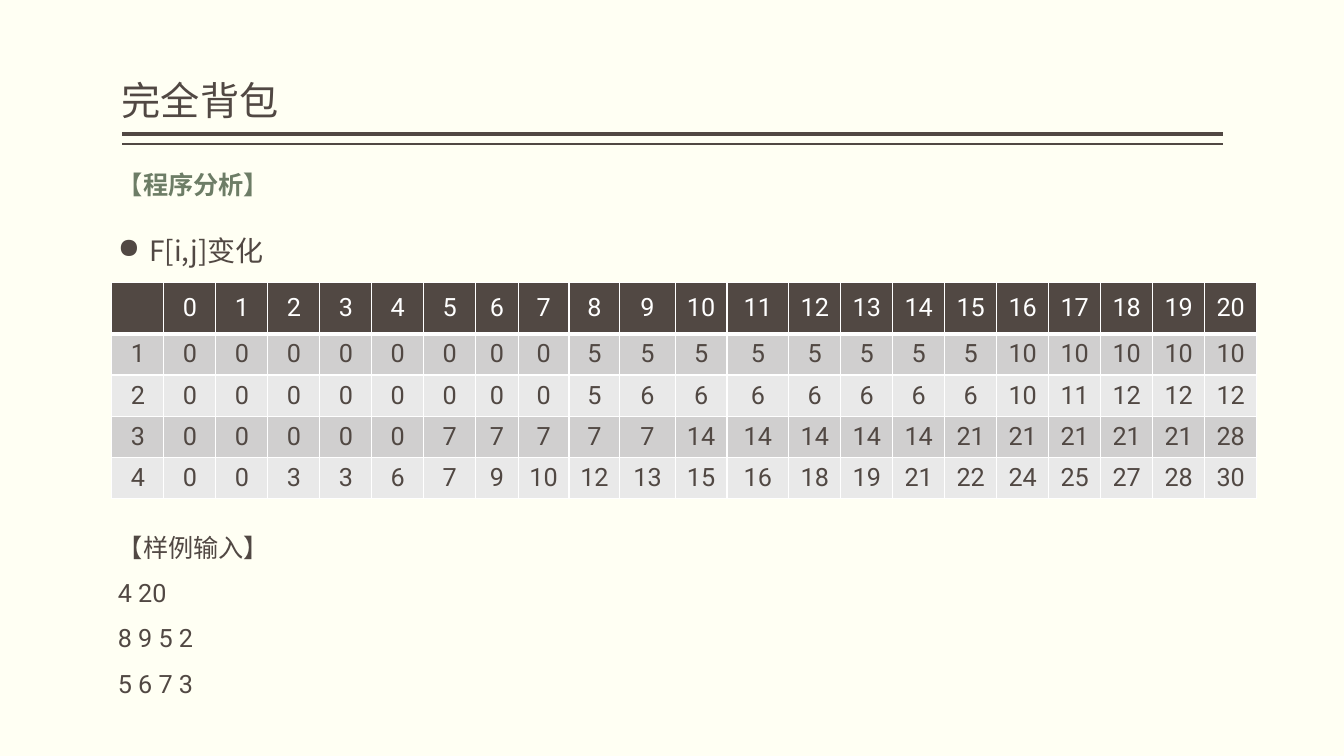
from lxml import etree
from pptx import Presentation
from pptx.dml.color import RGBColor
from pptx.enum.shapes import MSO_CONNECTOR
from pptx.enum.text import MSO_ANCHOR, PP_ALIGN
from pptx.oxml.ns import qn
from pptx.util import Cm, Pt

STRAIGHT = MSO_CONNECTOR.STRAIGHT
MIDDLE, BOTTOM, TOP = MSO_ANCHOR.MIDDLE, MSO_ANCHOR.BOTTOM, MSO_ANCHOR.TOP
CENTER = PP_ALIGN.CENTER
BROWN, GREEN, WHITE, CREAM = "514843", "6D7D66", "FFFFFF", "FFFFF3"
ROW_FILLS = ("D0CFCF", "E9E9E9")
CJK, LATIN = "Noto Sans CJK SC", "Roboto"

CAPACITIES = ["", *range(21)]
BEST_VALUES = [
    [1] + [0] * 8 + [5] * 8 + [10] * 5,
    [2] + [0] * 8 + [5] + [6] * 7 + [10, 11, 12, 12, 12],
    [3] + [0] * 5 + [7] * 5 + [14] * 5 + [21] * 5 + [28],
    [4, 0, 0, 3, 3, 6, 7, 9, 10, 12, 13, 15, 16, 18, 19, 21, 22, 24, 25, 27, 28, 30],
]
COLUMN_WIDTHS = [1.31] * 7 + [1.07, 1.28, 1.28, 1.4, 1.3, 1.56] + [1.31] * 9


def color(value):
    """Turn a hex string into a colour."""
    return RGBColor.from_string(value)


def write(paragraph, text, size=18, font=CJK, fill=BROWN, bold=False,
          spacing=None, align=None, bullet=None, indent=0.79):
    """Write formatted text into a paragraph."""
    properties = paragraph._p.get_or_add_pPr()
    if spacing:
        paragraph.line_spacing = spacing
    if align is not None:
        paragraph.alignment = align
    if bullet:
        properties.set("marL", str(Cm(indent)))
        properties.set("indent", str(-Cm(indent)))
        etree.SubElement(properties, qn("a:buChar")).set("char", bullet)
    run = paragraph.add_run()
    run.text = text
    run.font.size = Pt(size)
    run.font.name = font
    run.font.bold = bold
    run.font.color.rgb = color(fill)
    etree.SubElement(run._r.get_or_add_rPr(), qn("a:ea")).set("typeface", CJK)


def add_text(slide, left, top, width, height, lines, anchor=TOP, side=0.25):
    """Place a text box holding one paragraph per line."""
    box = slide.shapes.add_textbox(Cm(left), Cm(top), Cm(width), Cm(height))
    frame = box.text_frame
    frame.word_wrap = True
    frame.vertical_anchor = anchor
    frame.margin_left = frame.margin_right = Cm(side)
    for index, (text, style) in enumerate(lines):
        paragraph = frame.add_paragraph() if index else frame.paragraphs[0]
        write(paragraph, text, **style)


def add_heading(slide, left, top, width, height):
    """Place the title above its thick and thin rules."""
    title = ("完全背包", dict(size=28, spacing=0.9))
    add_text(slide, left, top, width, height, [title], anchor=BOTTOM, side=0)
    for gap, weight in ((0.13, 3), (0.38, 1)):
        y = Cm(top + height + gap)
        rule = slide.shapes.add_connector(STRAIGHT, Cm(left + width), y, Cm(left), y)
        rule.line.color.rgb = color(BROWN)
        rule.line.width = Pt(weight)
        etree.SubElement(rule._element.spPr, qn("a:effectLst"))


def add_analysis(slide, left, top, width, height):
    """Place the analysis label and the bullet that introduces the table."""
    add_text(slide, left, top, width, height, [
        ("【程序分析】", dict(fill=GREEN, bold=True)),
        ("F[i,j]变化", dict(size=20, spacing=2, bullet="●")),
    ])


def set_borders(cell, bottom):
    """Draw white borders round a cell."""
    properties = cell._tc.get_or_add_tcPr()
    for index, (side, weight) in enumerate(
            (("lnL", 1), ("lnR", 1), ("lnT", 1), ("lnB", bottom))):
        line = etree.Element(qn(f"a:{side}"), w=str(Pt(weight)))
        fill = etree.SubElement(line, qn("a:solidFill"))
        etree.SubElement(fill, qn("a:srgbClr")).set("val", WHITE)
        properties.insert(index, line)


def add_value_table(slide, left, top, header_height=1.3, row_height=1.04):
    """Place the table of best values by item and capacity."""
    rows = [CAPACITIES, *BEST_VALUES]
    height = header_height + row_height * len(BEST_VALUES)
    table = slide.shapes.add_table(
        len(rows), len(CAPACITIES), Cm(left), Cm(top),
        Cm(sum(COLUMN_WIDTHS)), Cm(height)).table
    for column, width in zip(table.columns, COLUMN_WIDTHS):
        column.width = Cm(width)
    for r, values in enumerate(rows):
        table.rows[r].height = Cm(row_height if r else header_height)
        for c, value in enumerate(values):
            cell = table.cell(r, c)
            cell.fill.solid()
            cell.fill.fore_color.rgb = color(ROW_FILLS[(r - 1) % 2] if r else BROWN)
            cell.vertical_anchor = MIDDLE
            cell.margin_left = cell.margin_right = Cm(0.1)
            set_borders(cell, bottom=1 if r else 3)
            if value != "":
                write(cell.text_frame.paragraphs[0], str(value), font=LATIN,
                      fill=BROWN if r else WHITE, align=CENTER)


def add_sample_input(slide, left, top, width, height):
    """Place the sample input lines."""
    numbers = ("4 20", "8 9 5 2", "5 6 7 3")
    add_text(slide, left, top, width, height, [
        ("【样例输入】", dict(spacing=1.5)),
        *((line, dict(font=LATIN, spacing=1.5)) for line in numbers),
    ])


def main():
    """Build the slide and save it."""
    deck = Presentation()
    deck.slide_width, deck.slide_height = Cm(33.87), Cm(19.05)
    slide = deck.slides.add_slide(deck.slide_layouts[6])
    slide.background.fill.solid()
    slide.background.fill.fore_color.rgb = color(CREAM)
    add_heading(slide, 3.07, 0.2, 27.74, 3.05)
    add_analysis(slide, 2.72, 4.14, 28.45, 4.04)
    add_value_table(slide, 2.82, 7.11)
    add_sample_input(slide, 2.72, 12.9, 5.44, 4.72)
    deck.save("out.pptx")


if __name__ == "__main__":
    main()
